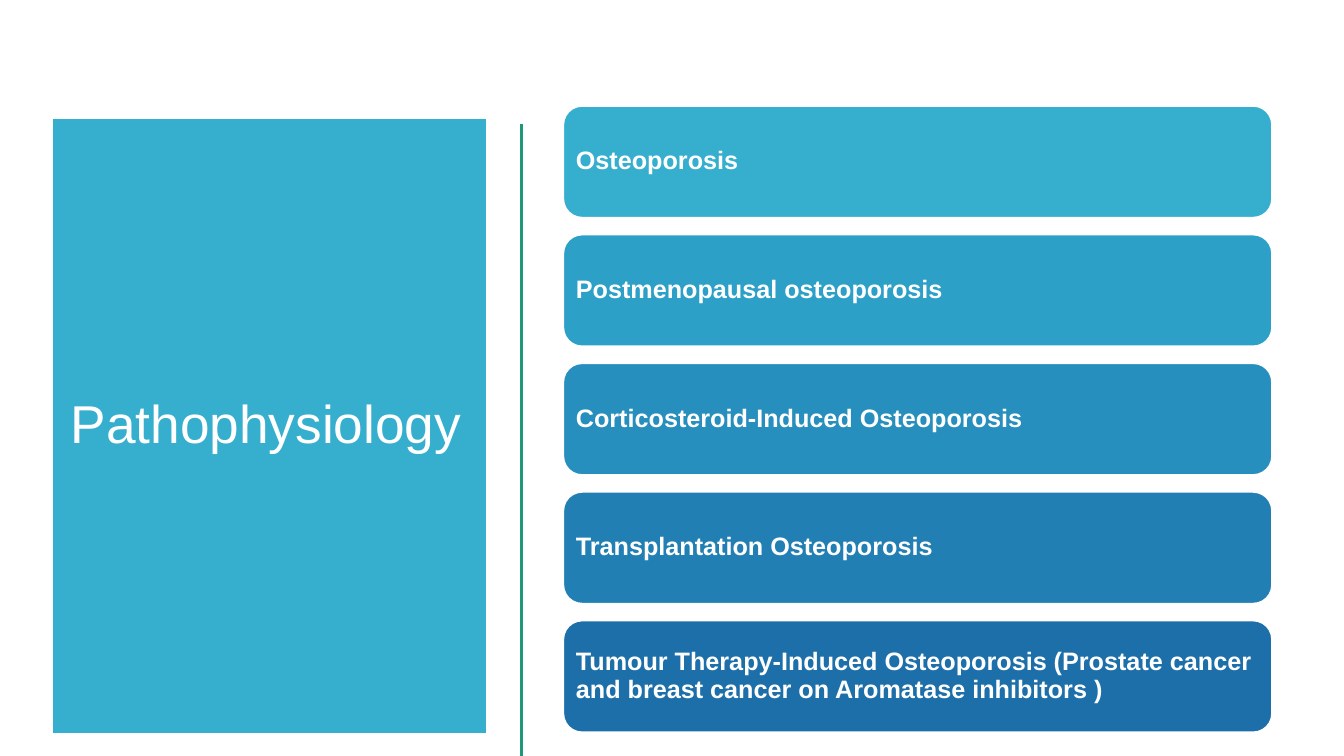
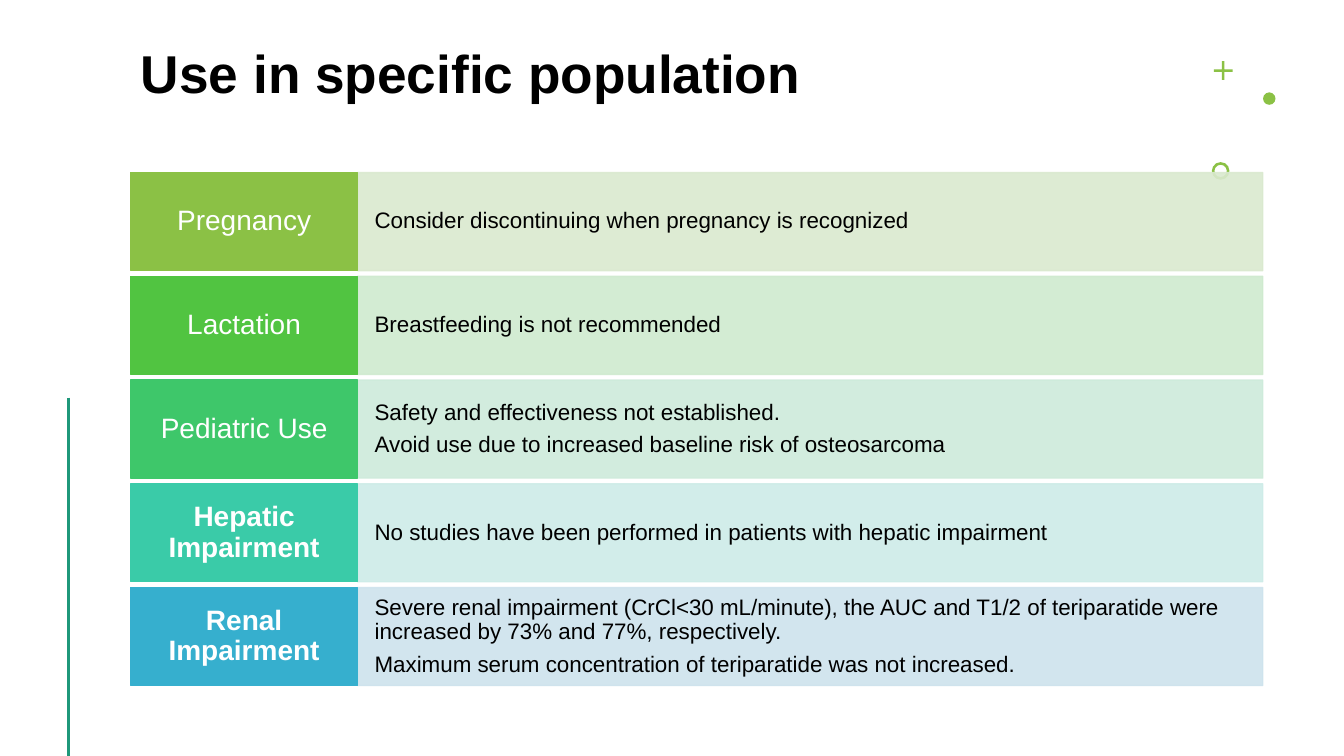
"""Build two slides on osteoporosis pathophysiology and use in specific populations."""
import lxml.etree
import pptx
import pptx.dml.color
import pptx.enum.shapes
import pptx.enum.text
import pptx.oxml.ns
import pptx.util

Pt = pptx.util.Pt
RGBColor = pptx.dml.color.RGBColor
SHAPE = pptx.enum.shapes.MSO_SHAPE
ALIGN = pptx.enum.text.PP_ALIGN
ANCHOR = pptx.enum.text.MSO_ANCHOR
qn = pptx.oxml.ns.qn

FONT = "Arial"
TITLE_SIZE = 38
WHITE = RGBColor(0xFF, 0xFF, 0xFF)
BLACK = RGBColor(0x00, 0x00, 0x00)
CYAN = RGBColor(0x36, 0xAF, 0xCE)
LIME = RGBColor(0x8B, 0xC1, 0x45)
TEAL = RGBColor(0x1F, 0x98, 0x7A)

CAUSES = [
    ("Osteoporosis", CYAN),
    ("Postmenopausal osteoporosis", RGBColor(0x2D, 0xA0, 0xC8)),
    ("Corticosteroid-Induced Osteoporosis", RGBColor(0x27, 0x8F, 0xBE)),
    ("Transplantation Osteoporosis", RGBColor(0x22, 0x7F, 0xB4)),
    ("Tumour Therapy-Induced Osteoporosis (Prostate cancer and breast cancer on "
     "Aromatase inhibitors )", RGBColor(0x1D, 0x6F, 0xA9)),
]

POPULATIONS = [
    ("Pregnancy", False, LIME, RGBColor(0xDA, 0xE9, 0xCF),
     ["Consider discontinuing when pregnancy is recognized"]),
    ("Lactation", False, RGBColor(0x51, 0xC4, 0x41), RGBColor(0xCF, 0xEA, 0xCF),
     ["Breastfeeding is not recommended"]),
    ("Pediatric Use", False, RGBColor(0x3E, 0xC7, 0x6A), RGBColor(0xCE, 0xEB, 0xDB),
     ["Safety and effectiveness not established.",
      "Avoid use due to increased baseline risk of osteosarcoma"]),
    ("Hepatic Impairment", True, RGBColor(0x3A, 0xCB, 0xA8), RGBColor(0xCE, 0xEC, 0xE8),
     ["No studies have been performed in patients with hepatic impairment"]),
    ("Renal Impairment", True, CYAN, RGBColor(0xCE, 0xE3, 0xED),
     ["Severe renal impairment (CrCl<30 mL/minute), the AUC and T1/2 of teriparatide "
      "were increased by 73% and 77%, respectively.",
      "Maximum serum concentration of teriparatide was not increased."]),
]

ORNAMENTS = [
    (SHAPE.CROSS, 867, 43.7, 13.4, 0.43),
    (SHAPE.OVAL, 902.2, 66, 8.9, None),
    (SHAPE.DONUT, 865.6, 115.8, 12.6, 0.15),
]


def write_text(shape, paragraphs, *, size, color=WHITE, bold=False, align=ALIGN.LEFT,
               anchor=ANCHOR.MIDDLE, margins=(7.2, 3.6, 7.2, 3.6)):
    """Fill a shape with paragraphs; margins run left, top, right, bottom."""
    frame = shape.text_frame
    frame.word_wrap = True
    frame.vertical_anchor = anchor
    (frame.margin_left, frame.margin_top,
     frame.margin_right, frame.margin_bottom) = map(Pt, margins)
    for index, text in enumerate(paragraphs):
        paragraph = frame.add_paragraph() if index else frame.paragraphs[0]
        paragraph.text = text
        paragraph.alignment = align
        paragraph.line_spacing = 0.9
        if index:
            paragraph.space_before = Pt(6)
        paragraph.font.name = FONT
        paragraph.font.size = Pt(size)
        paragraph.font.bold = bold
        paragraph.font.color.rgb = color


def add_block(slide, kind, box, fill, outline=None, outline_width=1, opacity=None):
    """Add a filled preset shape, outlined and translucent on request."""
    block = slide.shapes.add_shape(kind, *map(Pt, box))
    block.shadow.inherit = False
    block.fill.solid()
    block.fill.fore_color.rgb = fill
    if outline is None:
        block.line.fill.background()
    else:
        block.line.color.rgb = outline
        block.line.width = Pt(outline_width)
    if opacity is not None:
        for color in list(block._element.spPr.iter(qn("a:srgbClr"))):
            lxml.etree.SubElement(color, qn("a:alpha"), val=str(opacity * 1000))
    return block


def add_rule(slide, x, top):
    """Draw the vertical accent rule down to the slide's lower edge."""
    rule = slide.shapes.add_connector(
        pptx.enum.shapes.MSO_CONNECTOR.STRAIGHT, Pt(x), Pt(top), Pt(x), Pt(540))
    rule.line.color.rgb = TEAL
    rule.line.width = Pt(2)
    lxml.etree.SubElement(rule._element.spPr, qn("a:effectLst"))


def build_pathophysiology(slide):
    """Place the title panel beside the stack of causes."""
    panel = add_block(slide, SHAPE.RECTANGLE, (37.4, 84.2, 310.3, 440), CYAN, WHITE, 1.5)
    write_text(panel, ["Pathophysiology"], size=TITLE_SIZE, align=ALIGN.RIGHT,
               margins=(7.2, 3.6, 18, 3.6))
    add_rule(slide, 372.3, 88.5)
    top, pitch = 75.8, 91.9
    for row, (cause, color) in enumerate(CAUSES):
        bar = add_block(slide, SHAPE.ROUNDED_RECTANGLE,
                        (402.5, top + row * pitch, 506, 79.6), color, WHITE)
        write_text(bar, [cause], size=18, bold=True, margins=(5, 5, 5, 5))


def build_populations(slide):
    """Place the title, ornaments and one labelled row per population."""
    title = slide.shapes.add_textbox(Pt(93.6), Pt(30.2), Pt(736.6), Pt(94.3))
    write_text(title, ["Use in specific population"], size=TITLE_SIZE, color=BLACK,
               bold=True, anchor=ANCHOR.TOP)
    for kind, left, top, side, adjustment in ORNAMENTS:
        ornament = add_block(slide, kind, (left, top, side, side), LIME)
        if adjustment is not None:
            ornament.adjustments[0] = adjustment
    add_rule(slide, 49, 284)
    left, label_width, detail_width = 93.4, 162, 646.6
    first_top, pitch, height = 123.3, 74.1, 70
    for row, (population, bold, color, tint, advice) in enumerate(POPULATIONS):
        top = first_top + row * pitch
        detail = add_block(slide, SHAPE.RECTANGLE,
                           (left + label_width, top, detail_width, height),
                           tint, tint, opacity=90)
        write_text(detail, advice, size=16, color=BLACK, margins=(12.2, 0, 12.2, 0))
        label = add_block(slide, SHAPE.RECTANGLE, (left, top, label_width, height),
                          color, color)
        write_text(label, [population], size=20, bold=bold, align=ALIGN.CENTER,
                   margins=(8.6, 7.2, 8.6, 7.2))


def main():
    """Build and save the presentation."""
    deck = pptx.Presentation()
    deck.slide_width, deck.slide_height = Pt(960), Pt(540)
    for build in (build_pathophysiology, build_populations):
        build(deck.slides.add_slide(deck.slide_layouts[6]))
    deck.save("out.pptx")


if __name__ == "__main__":
    main()
